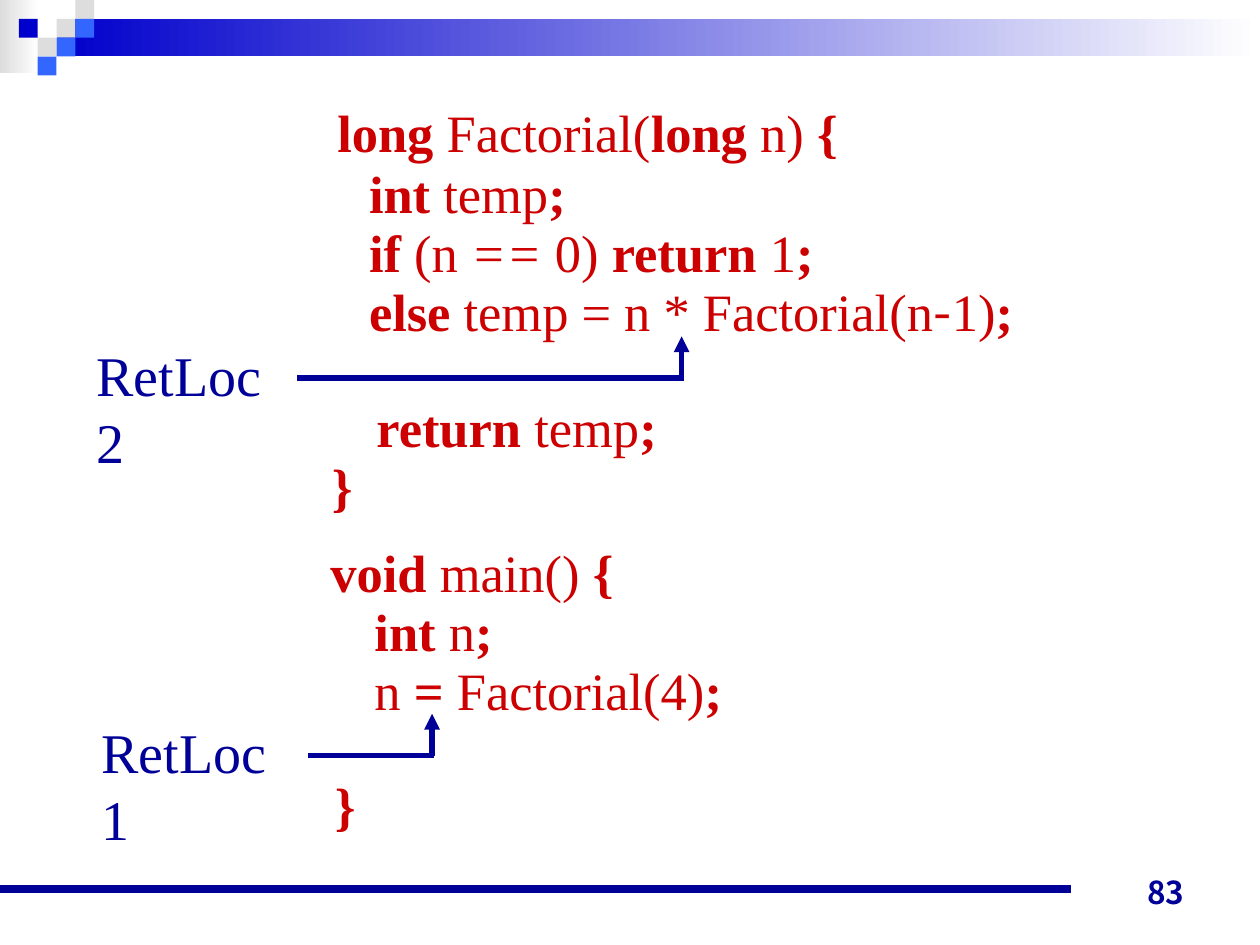
from lxml import etree
from pptx import Presentation
from pptx.dml.color import RGBColor
from pptx.enum.shapes import MSO_CONNECTOR, MSO_SHAPE
from pptx.enum.text import MSO_ANCHOR, PP_ALIGN
from pptx.oxml.ns import qn
from pptx.util import Cm, Pt

RECTANGLE = MSO_SHAPE.RECTANGLE
STRAIGHT = MSO_CONNECTOR.STRAIGHT
RIGHT, LEFT = PP_ALIGN.RIGHT, PP_ALIGN.LEFT
TOP, BOTTOM = MSO_ANCHOR.TOP, MSO_ANCHOR.BOTTOM

NAVY, BLUE, SKY, GREY, RED, WHITE = (
    "000099", "0000CC", "3366FF", "DDDDDD", "CC0000", "FFFFFF")
SERIF = "Times New Roman"
SANS = "Noto Sans CJK JP"
HYPHEN_FONT = "Noto Sans CJK SC"
UNIT = 0.38  # side of a header square, in cm
LINE_GAP, SKIPPED_LINE = 1.3, 33.7  # points before a code line

# Code lines: indent in cm, points before, runs of (text, style)
FACTORIAL = [
    (5.71, 0, [("long", "b"), (" Factorial(", ""), ("long", "b"),
               (" n) ", ""), ("{", "b")]),
    (6.35, 2.7, [("int", "b"), (" temp", ""), (";", "b")]),
    (6.35, LINE_GAP, [("if", "b"), (" (n", ""), (" ==", "i"), (" 0) ", ""),
                      ("return", "b"), (" 1", ""), (";", "b")]),
    (6.35, LINE_GAP, [("else", "b"), (" temp = n * Factorial(n", ""),
                      ("-", "h"), ("1)", ""), (";", "b")]),
    (6.5, SKIPPED_LINE, [("return", "b"), (" temp", ""), (";", "b")]),
    (5.6, LINE_GAP, [("}", "b")]),
]
MAIN = [
    (5.24, 0, [("void ", "b"), ("main()", ""), (" {", "b")]),
    (6.13, LINE_GAP, [("int ", "b"), ("n", ""), (";", "b")]),
    (6.13, LINE_GAP, [("n", ""), (" = ", "b"), ("Factorial(4)", ""),
                      (";", "b")]),
    (5.33, SKIPPED_LINE, [("}", "b")]),
]


def color(value):
    return RGBColor.from_string(value)


def add_block(page, left, top, width, height, *fills):
    """Borderless rectangle; two fills make a left-to-right gradient."""
    block = page.shapes.add_shape(
        RECTANGLE, Cm(left), Cm(top), Cm(width), Cm(height))
    block.shadow.inherit = False
    block.line.fill.background()
    if len(fills) == 1:
        block.fill.solid()
        block.fill.fore_color.rgb = color(fills[0])
    else:
        block.fill.gradient()
        block.fill.gradient_angle = 0
        for stop, value in zip(block.fill.gradient_stops, fills):
            stop.color.rgb = color(value)


def add_line(page, start, end, weight, arrow=False):
    line = page.shapes.add_connector(
        STRAIGHT, *[Cm(value) for value in start + end])
    line.line.color.rgb = color(NAVY)
    line.line.width = Pt(weight)
    if arrow:
        etree.SubElement(line.line._get_or_add_ln(), qn("a:tailEnd"),
                         type="triangle")
    etree.SubElement(line._element.spPr, qn("a:effectLst"))


def add_box(page, left, top, width, height, wrap=True, anchor=TOP):
    box = page.shapes.add_textbox(Cm(left), Cm(top), Cm(width), Cm(height))
    box.text_frame.word_wrap = wrap
    box.text_frame.vertical_anchor = anchor
    return box.text_frame


def style(font, name, size, value, bold=False, italic=False):
    font.name, font.size = name, Pt(size)
    font.color.rgb = color(value)
    font.bold, font.italic = bold, italic


def add_text(frame, text, name, size, bold=False, align=LEFT):
    frame.text = text
    para = frame.paragraphs[0]
    para.alignment = align
    style(para.runs[0].font, name, size, NAVY, bold)


def add_code(frame, lines):
    for index, (indent, before, pieces) in enumerate(lines):
        para = frame.add_paragraph() if index else frame.paragraphs[0]
        para.line_spacing = 0.9
        para.space_before = Pt(before)
        properties = para._p.get_or_add_pPr()
        properties.set("marL", str(Cm(indent)))
        properties.set("indent", "0")
        for text, kind in pieces:
            span = para.add_run()
            span.text = text
            style(span.font, HYPHEN_FONT if kind == "h" else SERIF, 30, RED,
                  kind == "b", kind == "i")


def add_return_label(page, text, left, top, line_start, line_y, arrow_x):
    """Label with a line that turns up to the calling statement."""
    add_text(add_box(page, left, top, 4.39, 1.63, wrap=False),
             text, SERIF, 32)
    add_line(page, (line_start, line_y), (arrow_x + 0.04, line_y), 3)
    add_line(page, (arrow_x, line_y), (arrow_x, line_y - 0.84), 3, arrow=True)


def add_frame(page):
    # Header bands
    add_block(page, 0, 0, 0.79, 1.47, GREY, WHITE)
    add_block(page, 3 * UNIT, UNIT, 25.4 - 3 * UNIT, 2 * UNIT, BLUE, WHITE)
    # Header squares by column and row
    for column, row, fill in [(3, 1, GREY), (4, 0, GREY), (4, 1, SKY),
                              (2, 2, GREY), (1, 1, BLUE), (3, 2, SKY),
                              (2, 3, SKY)]:
        add_block(page, column * UNIT, row * UNIT, UNIT, UNIT, fill)
    # Footer rule and page number
    add_line(page, (0, 17.93), (21.59, 17.93), 4.5)
    number = add_box(page, 18.21, 17.22, 5.92, 1.27, anchor=BOTTOM)
    add_text(number, "83", SANS, 18, bold=True, align=RIGHT)


def main():
    deck = Presentation()
    deck.slide_width, deck.slide_height = Cm(25.4), Cm(19.05)
    page = deck.slides.add_slide(deck.slide_layouts[6])
    add_frame(page)
    # Code listings
    add_code(add_box(page, 0.84, 2.03, 22.43, 8.2), FACTORIAL)
    add_code(add_box(page, 1.17, 10.9, 20.42, 5.87), MAIN)
    # Return locations
    add_return_label(page, "RetLoc2", 1.7, 6.73, 5.99, 7.62, 13.74)
    add_return_label(page, "RetLoc1", 1.8, 14.33, 6.2, 15.23, 8.71)
    deck.save("out.pptx")


if __name__ == "__main__":
    main()
